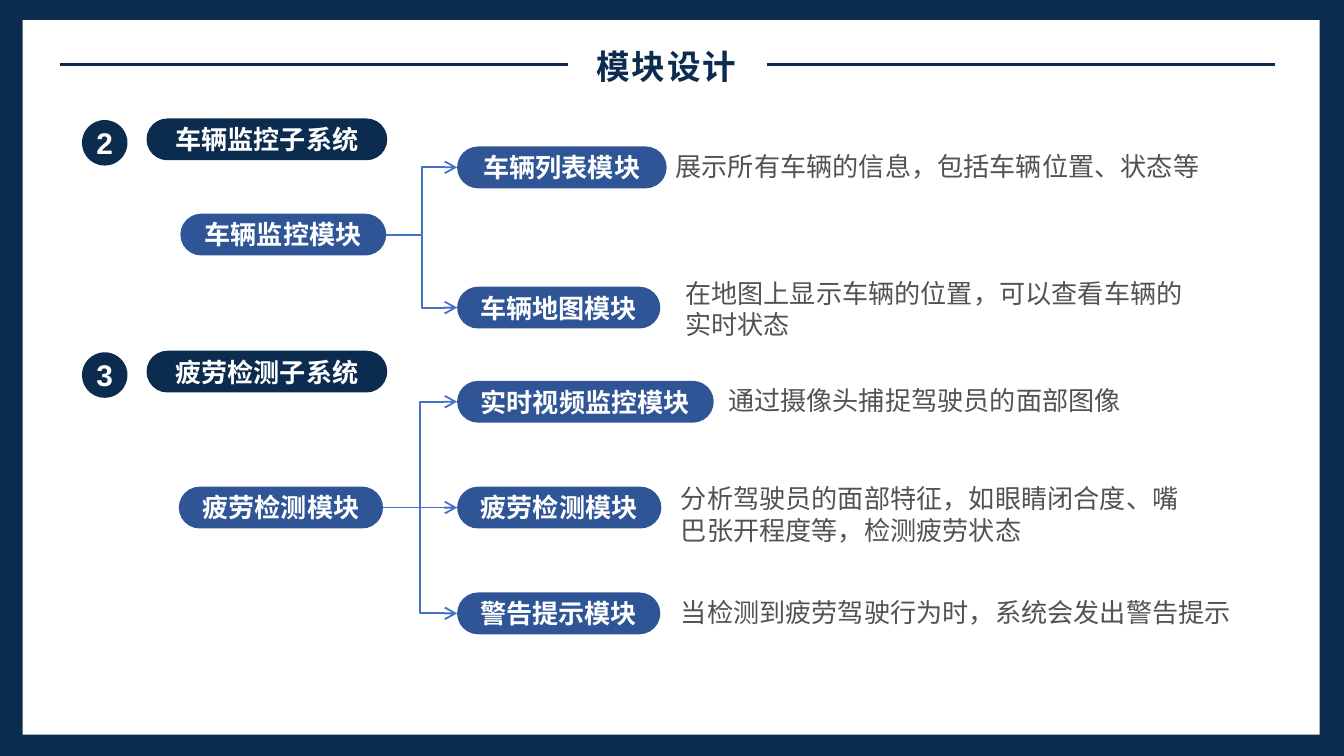
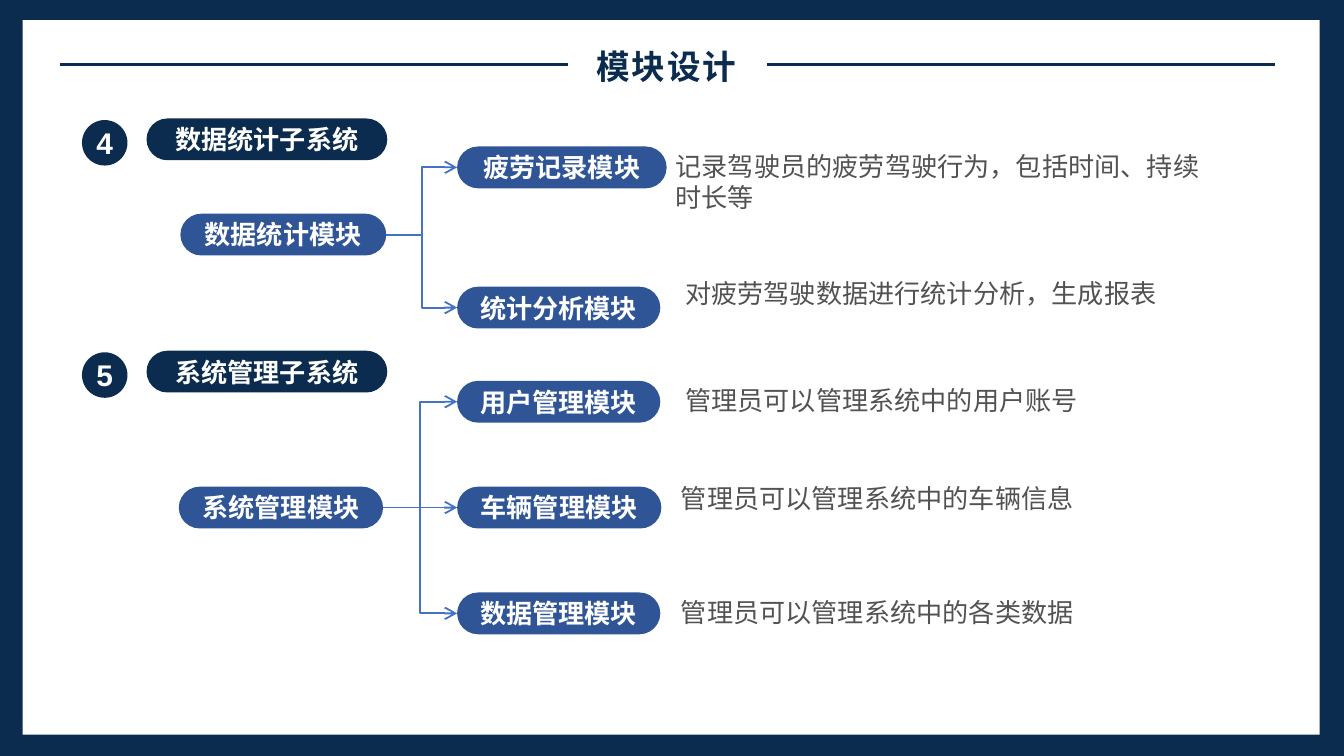
import math
import pptx
import pptx.dml.color
import pptx.enum.shapes
import pptx.enum.text
import pptx.oxml
import pptx.oxml.ns
import pptx.util

Cm = pptx.util.Cm
Pt = pptx.util.Pt
SHAPE = pptx.enum.shapes.MSO_SHAPE
LINE = pptx.enum.shapes.MSO_CONNECTOR
ALIGN = pptx.enum.text.PP_ALIGN
ANCHOR = pptx.enum.text.MSO_ANCHOR
NAMESPACE = pptx.oxml.ns.nsdecls("a")

COLOURS = {"navy": "0B2C4F", "blue": "2F5597", "arrow": "4472C4",
           "white": "FFFFFF", "grey": "525252"}
CJK_FONT = "Noto Sans CJK SC"
TITLE_FONT = {"size": Pt(18), "bold": True, "name": "Arial"}
PILL_FONT = {"size": Pt(14), "bold": True, "name": "Arial"}
BADGE_FONT = {"size": Pt(16), "bold": True, "name": "Arial"}
NOTE_FONT = {"size": Pt(14), "bold": False, "name": CJK_FONT}

PAGE_SIZE = (25.4, 14.29)
PILL_HEIGHT = 0.79
CHILD_LEFT = 7.09
NOTE_INSET = 0.51
NOTE_CHARACTER = 0.494

# Section geometry in cm, relative to the section's box:
# parent is left, top, width; children are tops; notes are rise, width
UPPER = {"box": (1.55, 2.24), "parent": (1.86, 1.8, 3.89),
         "children": [0.53, 3.18],
         "notes": [(0.05, 10.57), (0.3, 9.91)]}
LOWER = {"box": (1.55, 6.63), "parent": (1.83, 2.57, 3.86),
         "children": [0.57 + 2 * row for row in range(3)],
         "notes": [(0.05, 9.91), (0.2, 9.91), (0.05, 10.97)]}

# Each row: module, pill width, note left, note
PAGES = [
    [
        (UPPER, "2", "车辆监控子系统", "车辆监控模块", [
            ("车辆列表模块", 3.96, 10.97, "展示所有⻋辆的信息，包括⻋辆位置、状态等"),
            ("车辆地图模块", 3.84, 11.15, "在地图上显示⻋辆的位置，可以查看⻋辆的实时状态"),
        ]),
        (LOWER, "3", "疲劳检测子系统", "疲劳检测模块", [
            ("实时视频监控模块", 4.85, 11.96, "通过摄像头捕捉驾驶员的⾯部图像"),
            ("疲劳检测模块", 3.86, 11.07,
             "分析驾驶员的⾯部特征，如眼睛闭合度、嘴巴张开程度等，检测疲劳状态"),
            ("警告提示模块", 3.84, 11.07, "当检测到疲劳驾驶⾏为时，系统会发出警告提示"),
        ]),
    ],
    [
        (UPPER, "4", "数据统计子系统", "数据统计模块", [
            ("疲劳记录模块", 3.96, 10.97, "记录驾驶员的疲劳驾驶⾏为，包括时间、持续时⻓等"),
            ("统计分析模块", 3.84, 11.15, "对疲劳驾驶数据进⾏统计分析，⽣成报表"),
        ]),
        (LOWER, "5", "系统管理子系统", "系统管理模块", [
            ("用户管理模块", 3.84, 11.15, "管理员可以管理系统中的⽤户账号"),
            ("车辆管理模块", 3.86, 11.07, "管理员可以管理系统中的⻋辆信息"),
            ("数据管理模块", 3.84, 11.07, "管理员可以管理系统中的各类数据"),
        ]),
    ],
]


def colour(name):
    return pptx.dml.color.RGBColor.from_string(COLOURS[name])


def write(box, text, font, ink, align, anchor, wrap=True):
    """Put one formatted line of text in a box."""
    frame = box.text_frame
    frame.word_wrap = wrap
    frame.vertical_anchor = anchor
    para = frame.paragraphs[0]
    para.alignment = align
    span = para.add_run()
    span.text = text
    for key, value in font.items():
        setattr(span.font, key, value)
    span.font.color.rgb = colour(ink)
    properties = box.element.xpath(".//a:rPr")[0]
    properties.append(pptx.oxml.parse_xml(f'<a:ea {NAMESPACE} typeface="{CJK_FONT}"/>'))
    return properties


def add_filled(page, kind, left, top, width, height, fill):
    shape = page.shapes.add_shape(kind, Cm(left), Cm(top), Cm(width), Cm(height))
    shape.shadow.inherit = False
    shape.fill.solid()
    shape.fill.fore_color.rgb = colour(fill)
    shape.line.fill.background()
    return shape


def add_pill(page, left, top, width, text, fill):
    pill = add_filled(page, SHAPE.ROUNDED_RECTANGLE, left, top, width, PILL_HEIGHT, fill)
    pill.adjustments[0] = 0.5
    write(pill, text, PILL_FONT, "white", ALIGN.CENTER, ANCHOR.MIDDLE)
    return pill


def add_line(page, kind, ink, weight, start=(0, 0), end=(0, 0)):
    line = page.shapes.add_connector(kind, *(Cm(value) for value in start + end))
    line.line.color.rgb = colour(ink)
    line.line.width = Pt(weight)
    line.element.spPr.append(pptx.oxml.parse_xml(f"<a:effectLst {NAMESPACE}/>"))
    return line


def join(page, parent, child, kind):
    """Draw an arrow from the parent's right side to the child's left."""
    arrow = add_line(page, kind, "arrow", 1)
    arrow.begin_connect(parent, 3)
    arrow.end_connect(child, 1)
    head = pptx.oxml.parse_xml(f'<a:tailEnd {NAMESPACE} type="arrow"/>')
    arrow.element.xpath(".//a:ln")[0].append(head)


def move_frame_to_layout(page, layout):
    """Give the layout its navy border around a white sheet."""
    width, height = PAGE_SIZE
    border = add_filled(page, SHAPE.RECTANGLE, 0, 0, width, height, "navy")
    sheet = add_filled(page, SHAPE.RECTANGLE, 0.43, 0.38, 24.51, 13.51, "white")
    for index, shape in enumerate((border, sheet)):
        shape.element.xpath(".//p:cNvPr")[0].set("id", str(100 + index))
        layout.shapes.element.insert(2 + index, shape.element)


def add_heading(page, text):
    """Title between two rules."""
    title = page.shapes.title
    title.left, title.top, title.width, title.height = map(Cm, (11.02, 0.74, 3.18, 1.02))
    properties = write(title, text, TITLE_FONT, "navy", ALIGN.LEFT, ANCHOR.TOP, False)
    properties.set("spc", "100")
    for left in (1.14, 14.5):
        add_line(page, LINE.STRAIGHT, "navy", 2, (left, 1.22), (left + 9.6, 1.22))


def add_note(page, left, top, width, text):
    per_line = math.floor((width - NOTE_INSET) / NOTE_CHARACTER)
    lines = math.ceil(len(text) / per_line)
    note = page.shapes.add_textbox(Cm(left), Cm(top), Cm(width), Cm(0.3 + 0.57 * lines))
    write(note, text, NOTE_FONT, "grey", ALIGN.LEFT, ANCHOR.TOP)
    note.text_frame.auto_size = pptx.enum.text.MSO_AUTO_SIZE.SHAPE_TO_FIT_TEXT


def add_section(page, layout, number, subsystem, module, rows):
    """Numbered subsystem with its module tree."""
    left, top = layout["box"]

    # Number and subsystem name
    badge = add_filled(page, SHAPE.OVAL, left, top + 0.03, 0.86, 0.86, "navy")
    write(badge, number, BADGE_FONT, "white", ALIGN.CENTER, ANCHOR.MIDDLE, False)
    add_pill(page, left + 1.22, top, 4.55, subsystem, "navy")

    # Parent module
    parent_left, parent_top, parent_width = layout["parent"]
    parent = add_pill(page, left + parent_left, top + parent_top, parent_width, module, "blue")

    # Child modules with arrows and notes
    for row, child_top, (rise, note_width) in zip(rows, layout["children"], layout["notes"]):
        name, width, note_left, note = row
        child = add_pill(page, left + CHILD_LEFT, top + child_top, width, name, "blue")
        level = child_top == parent_top
        join(page, parent, child, LINE.STRAIGHT if level else LINE.ELBOW)
        add_note(page, left + note_left, top + child_top - rise, note_width, note)


def main():
    deck = pptx.Presentation()
    deck.slide_width, deck.slide_height = map(Cm, PAGE_SIZE)
    title_only = deck.slide_layouts[5]
    for index, sections in enumerate(PAGES):
        page = deck.slides.add_slide(title_only)
        if index == 0:
            move_frame_to_layout(page, title_only)
        add_heading(page, "模块设计")
        for section in sections:
            add_section(page, *section)
    deck.save("out.pptx")


if __name__ == "__main__":
    main()
